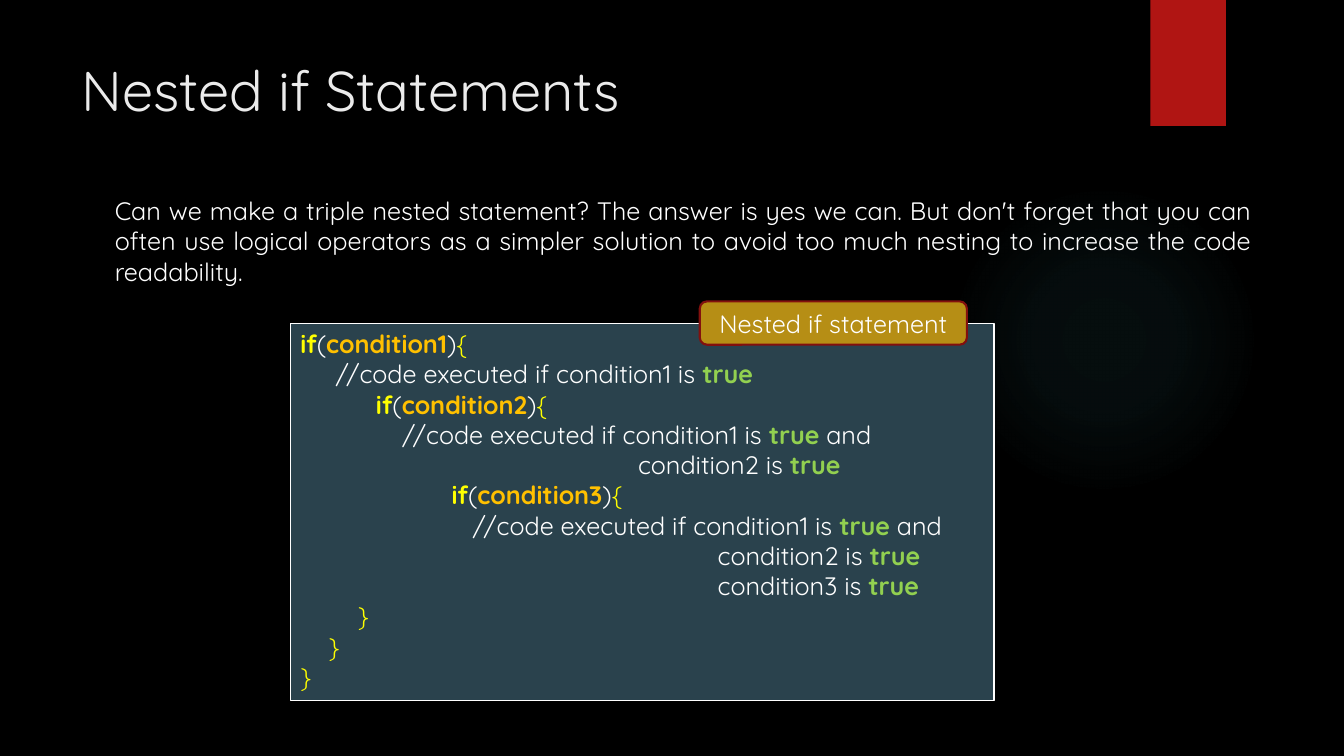
from dataclasses import dataclass

from lxml import etree
from pptx import Presentation
from pptx.dml.color import RGBColor
from pptx.enum.shapes import MSO_SHAPE
from pptx.enum.text import MSO_ANCHOR, PP_ALIGN
from pptx.oxml import parse_xml
from pptx.oxml.ns import qn
from pptx.shapes.autoshape import Shape
from pptx.slide import Slide
from pptx.util import Inches, Pt

RECTANGLE = MSO_SHAPE.RECTANGLE
ROUNDED = MSO_SHAPE.ROUNDED_RECTANGLE
OVAL = MSO_SHAPE.OVAL
TOP, MIDDLE = MSO_ANCHOR.TOP, MSO_ANCHOR.MIDDLE
LEFT, CENTER, JUSTIFY = PP_ALIGN.LEFT, PP_ALIGN.CENTER, PP_ALIGN.JUSTIFY

FONT = "Quicksand"
COLORS = {
    "background": "000000",
    "glow": "50B9C1",
    "ribbon": "B01513",
    "title": "EBEBEB",
    "text": "FFFFFF",
    "panel": "2A424D",
    "label": "B68E15",
    "label_line": "82100E",
    "keyword": "FFFF00",
    "condition": "FFC000",
    "value": "92D050",
}
BOLD_ROLES = {"keyword", "condition", "value"}


@dataclass(frozen=True)
class Area:
    left: float
    top: float
    width: float
    height: float


@dataclass(frozen=True)
class Span:
    text: str
    color: str = "text"
    bold: bool = False
    size: int = 18


@dataclass(frozen=True)
class Line:
    spans: list[Span]
    indent: float = 0
    align: PP_ALIGN = LEFT


def token(text: str, role: str) -> Span:
    return Span(text, role, role in BOLD_ROLES)


def opening(name: str, indent: float) -> Line:
    return Line([token("if", "keyword"), Span("("), token(name, "condition"),
                 Span(")"), Span("{", "keyword")], indent)


def outcome(text: str, indent: float, ending: str = "") -> Line:
    spans = [Span(f"{text} is "), token("true", "value")]
    if ending:
        spans.append(Span(ending))
    return Line(spans, indent)


def closing(indent: float) -> Line:
    return Line([Span("}", "keyword")], indent)


def add_panel(page: Slide, kind: MSO_SHAPE, area: Area, fill: str,
              line: str = "", line_width: float = 1) -> Shape:
    box = page.shapes.add_shape(kind, Inches(area.left), Inches(area.top),
                                Inches(area.width), Inches(area.height))
    box.shadow.inherit = False
    box.fill.solid()
    box.fill.fore_color.rgb = RGBColor.from_string(COLORS[fill])
    if line:
        box.line.color.rgb = RGBColor.from_string(COLORS[line])
        box.line.width = Pt(line_width)
    else:
        box.line.fill.background()
    return box


def add_text_box(page: Slide, area: Area) -> Shape:
    return page.shapes.add_textbox(Inches(area.left), Inches(area.top),
                                   Inches(area.width), Inches(area.height))


def write(box: Shape, lines: list[Line], anchor: MSO_ANCHOR = TOP) -> None:
    frame = box.text_frame
    frame.word_wrap = True
    frame.vertical_anchor = anchor
    for index, line in enumerate(lines):
        para = frame.add_paragraph() if index else frame.paragraphs[0]
        para.alignment = line.align
        para._p.get_or_add_pPr().set("marL", str(Inches(line.indent)))
        for span in line.spans:
            run = para.add_run()
            run.text = span.text
            run.font.name = FONT
            run.font.size = Pt(span.size)
            run.font.bold = span.bold
            run.font.color.rgb = RGBColor.from_string(COLORS[span.color])


def add_glow(page: Slide, area: Area, stops: list[tuple[int, int]]) -> None:
    glow = add_panel(page, OVAL, area, "glow")
    gradient = parse_xml(
        '<a:gradFill xmlns:a="http://schemas.openxmlformats.org/drawingml/2006/main">'
        '<a:gsLst/><a:path path="circle">'
        '<a:fillToRect l="50000" t="50000" r="50000" b="50000"/>'
        '</a:path></a:gradFill>')
    for position, opacity in stops:
        stop = etree.SubElement(gradient[0], qn("a:gs"), pos=str(position * 1000))
        color = etree.SubElement(stop, qn("a:srgbClr"), val=COLORS["glow"])
        etree.SubElement(color, qn("a:alpha"), val=str(opacity * 1000))
    properties = glow._element.spPr
    properties.replace(properties.find(qn("a:solidFill")), gradient)


CODE = [
    opening("condition1", 0),
    outcome("//code executed if condition1", 0.35),
    opening("condition2", 0.75),
    outcome("//code executed if condition1", 1.01, " and"),
    outcome("condition2", 3.35),
    opening("condition3", 1.5),
    outcome("//code executed if condition1", 1.71, " and"),
    outcome("condition2", 4.14),
    outcome("condition3", 4.14),
    closing(0.57),
    closing(0.28),
    closing(0),
]
QUESTION = ("Can we make a triple nested statement? The answer is yes we can. "
            "But don't forget that you can often use logical operators as a simpler "
            "solution to avoid too much nesting to increase the code readability.")

deck = Presentation()
deck.slide_width, deck.slide_height = Inches(13.33), Inches(7.5)
page = deck.slides.add_slide(deck.slide_layouts[6])
page.background.fill.solid()
page.background.fill.fore_color.rgb = RGBColor.from_string(COLORS["background"])

add_glow(page, Area(9.41, 1.83, 3.08, 3.08), [(0, 7), (36, 6), (69, 0)])
add_panel(page, RECTANGLE, Area(11.41, 0, 0.75, 1.25), "ribbon")

title = add_text_box(page, Area(0.71, 0.5, 10.76, 0.88))
write(title, [Line([Span("Nested if Statements", "title", size=40)])])

question = add_text_box(page, Area(1.04, 1.89, 11.47, 1.01))
write(question, [Line([Span(QUESTION)], align=JUSTIFY)])

code_panel = add_panel(page, RECTANGLE, Area(2.88, 3.21, 6.98, 3.74), "panel", "text")
write(code_panel, CODE)

label = add_panel(page, ROUNDED, Area(6.94, 2.99, 2.65, 0.43), "label", "label_line", 1.5)
write(label, [Line([Span("Nested if statement")], align=CENTER)], MIDDLE)

deck.save("out.pptx")
